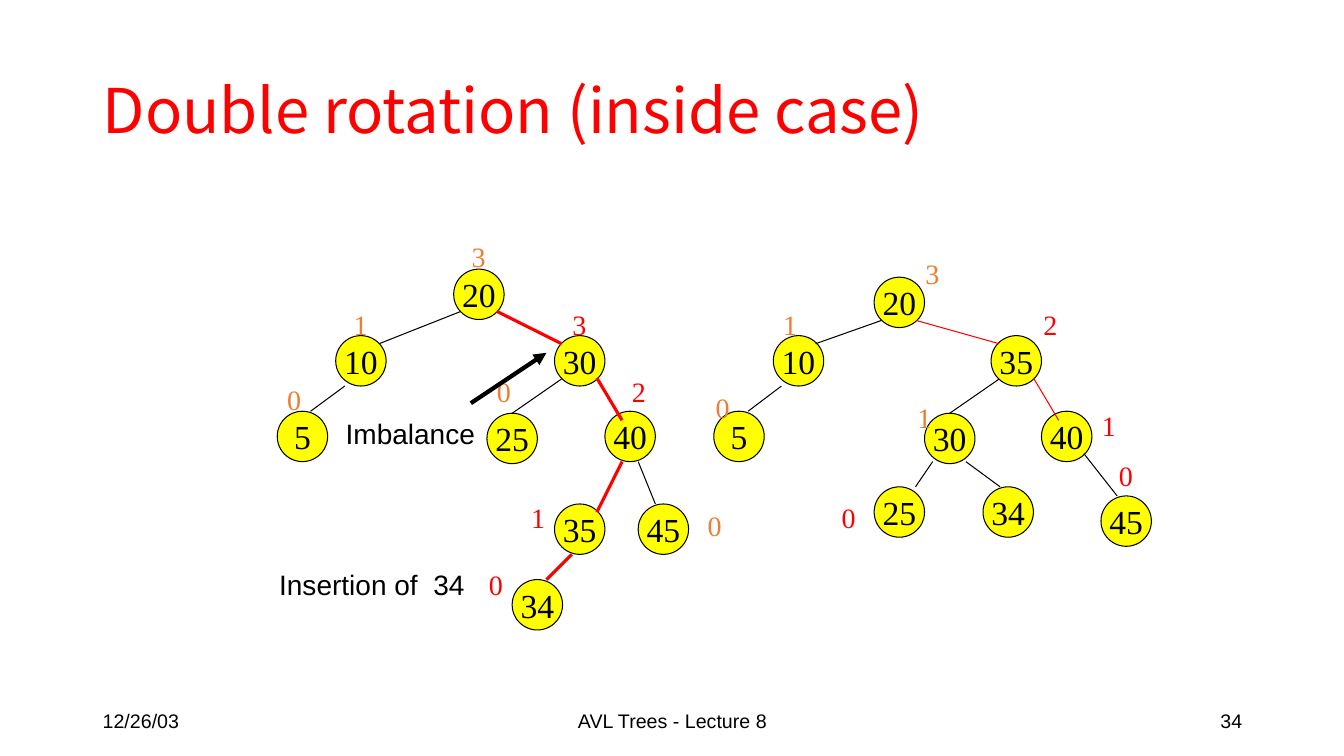
from dataclasses import dataclass

from lxml.etree import SubElement
from pptx import Presentation
from pptx.dml.color import RGBColor
from pptx.enum.shapes import MSO_CONNECTOR as Connector, MSO_SHAPE as Shape
from pptx.enum.text import MSO_ANCHOR as Anchor, PP_ALIGN as Align
from pptx.oxml.ns import qn
from pptx.util import Inches, Pt


@dataclass(frozen=True)
class Theme:
    black: str = "000000"
    red: str = "FF0000"
    orange: str = "ED7D31"
    yellow: str = "FFFF00"
    sans: str = "Arial"
    serif: str = "Times New Roman"
    title_font: str = "Noto Sans CJK KR"
    title_size: int = 44
    key_size: int = 24
    label_size: int = 20
    footer_size: int = 14
    thin: float = 0.75
    path_width: float = 2.25
    pointer_width: float = 3


THEME = Theme()
NODE_SIZE = 0.5

UNBALANCED_NODES = [
    ("20", 4.5, 2.67), ("10", 3.33, 3.33), ("30", 5.5, 3.33),
    ("5", 2.75, 4.08), ("25", 4.83, 4.1), ("40", 6, 4.08),
    ("35", 5.5, 5), ("45", 6.33, 5), ("34", 5.08, 5.75),
]
UNBALANCED_EDGES = [
    (4.57, 3.09, 3.76, 3.41), (3.42, 3.83, 3.08, 4.08),
    (5.57, 3.76, 5.08, 4.1), (6.33, 4.58, 6.5, 5),
]
INSERTION_PATH = [
    (4.93, 3.09, 5.57, 3.41), (5.92, 3.75, 6.17, 4.17),
    (6.17, 4.58, 5.92, 5.08), (5.67, 5.5, 5.42, 5.75),
]
UNBALANCED_HEIGHTS = [
    ("3", 4.58, 2.33), ("1", 3.41, 3), ("0", 2.75, 3.75),
    ("0", 4.83, 3.67), ("0", 6.92, 5),
]
UNBALANCED_CHANGED_HEIGHTS = [
    ("3", 5.58, 3), ("2", 6.17, 3.67), ("1", 5.17, 4.92), ("0", 4.75, 5.58),
]

ROTATED_NODES = [
    ("20", 8.67, 2.75), ("10", 7.67, 3.33), ("35", 9.83, 3.33),
    ("5", 7.08, 4.08), ("30", 9.17, 4.1), ("40", 10.33, 4.08),
    ("25", 8.67, 4.83), ("34", 9.75, 4.83), ("45", 10.92, 4.92),
]
ROTATED_EDGES = [
    (8.74, 3.18, 8.09, 3.41), (7.75, 3.83, 7.42, 4.08),
    (9.91, 3.76, 9.42, 4.1), (9.25, 4.58, 9.08, 4.83),
    (9.58, 4.58, 9.92, 4.83), (10.75, 4.5, 11.08, 4.92),
]
ROTATED_PATH = [(9.09, 3.18, 9.91, 3.41), (10.25, 3.75, 10.5, 4.17)]
ROTATED_HEIGHTS = [
    ("3", 9.08, 2.5), ("1", 7.67, 3), ("0", 7, 3.83), ("1", 9, 3.92),
]
ROTATED_CHANGED_HEIGHTS = [
    ("2", 10.25, 3), ("1", 10.83, 4), ("0", 11, 4.5), ("0", 8.25, 4.92),
]


def write(frame, text, font, size, color, align=Align.LEFT):
    frame.text = text
    paragraph = frame.paragraphs[0]
    paragraph.alignment = align
    run = paragraph.runs[0]
    run.font.name = font
    run.font.size = Pt(size)
    run.font.color.rgb = RGBColor.from_string(color)
    return paragraph


def add_text(slide, text, box, font, size, color, align=Align.LEFT,
             anchor=Anchor.TOP, wrap=True):
    frame = slide.shapes.add_textbox(*map(Inches, box)).text_frame
    frame.word_wrap = wrap
    frame.vertical_anchor = anchor
    return write(frame, text, font, size, color, align)


def add_node(slide, key, left, top):
    node = slide.shapes.add_shape(
        Shape.OVAL, *map(Inches, (left, top, NODE_SIZE, NODE_SIZE)))
    node.shadow.inherit = False
    node.fill.solid()
    node.fill.fore_color.rgb = RGBColor.from_string(THEME.yellow)
    node.line.color.rgb = RGBColor.from_string(THEME.black)
    node.line.width = Pt(THEME.thin)
    node.text_frame.word_wrap = False
    node.text_frame.vertical_anchor = Anchor.MIDDLE
    write(node.text_frame, key, THEME.serif, THEME.key_size, THEME.black,
          Align.CENTER)


def add_line(slide, ends, color, width, arrow=False):
    line = slide.shapes.add_connector(Connector.STRAIGHT, *map(Inches, ends))
    line.line.color.rgb = RGBColor.from_string(color)
    line.line.width = Pt(width)
    properties = line._element.spPr
    if arrow:
        SubElement(properties.find(qn("a:ln")), qn("a:tailEnd"), type="triangle")
    SubElement(properties, qn("a:effectLst"))


def add_height(slide, height, left, top, color):
    add_text(slide, height, (left, top, 0.34, 0.43), THEME.serif,
             THEME.label_size, color, wrap=False)


def add_tree(slide, nodes, edges, path, path_width, heights, changed_heights):
    for key, left, top in nodes:
        add_node(slide, key, left, top)
    for ends in edges:
        add_line(slide, ends, THEME.black, THEME.thin)
    for ends in path:
        add_line(slide, ends, THEME.red, path_width)
    for height, left, top in heights:
        add_height(slide, height, left, top, THEME.orange)
    for height, left, top in changed_heights:
        add_height(slide, height, left, top, THEME.red)


def add_title(slide, text):
    title = add_text(slide, text, (0.92, 0.4, 11.5, 1.45), THEME.title_font,
                     THEME.title_size, THEME.red, anchor=Anchor.MIDDLE)
    title.line_spacing = 0.9


def add_callout(slide, text, left, top, width):
    add_text(slide, text, (left, top, width, 0.43), THEME.sans,
             THEME.label_size, THEME.black)


def add_footer(slide, text, left, width, align):
    add_text(slide, text, (left, 6.95, width, 0.4), THEME.sans,
             THEME.footer_size, THEME.black, align, Anchor.MIDDLE)


def main():
    deck = Presentation()
    deck.slide_width, deck.slide_height = Inches(13.33), Inches(7.5)
    slide = deck.slides.add_slide(deck.slide_layouts[6])

    add_title(slide, "Double rotation (inside case)")
    add_tree(slide, UNBALANCED_NODES, UNBALANCED_EDGES, INSERTION_PATH,
             THEME.path_width, UNBALANCED_HEIGHTS, UNBALANCED_CHANGED_HEIGHTS)
    add_tree(slide, ROTATED_NODES, ROTATED_EDGES, ROTATED_PATH,
             THEME.thin, ROTATED_HEIGHTS, ROTATED_CHANGED_HEIGHTS)
    add_callout(slide, "Imbalance", 3.33, 4.08, 1.5)
    add_line(slide, (4.67, 4, 5.42, 3.5), THEME.black, THEME.pointer_width,
             arrow=True)
    add_callout(slide, "Insertion of  34", 2.67, 5.58, 2.08)

    add_footer(slide, "12/26/03", 0.92, 3, Align.LEFT)
    add_footer(slide, "AVL Trees - Lecture 8", 4.42, 4.5, Align.CENTER)
    add_footer(slide, "34", 9.42, 3, Align.RIGHT)
    deck.save("out.pptx")


if __name__ == "__main__":
    main()
